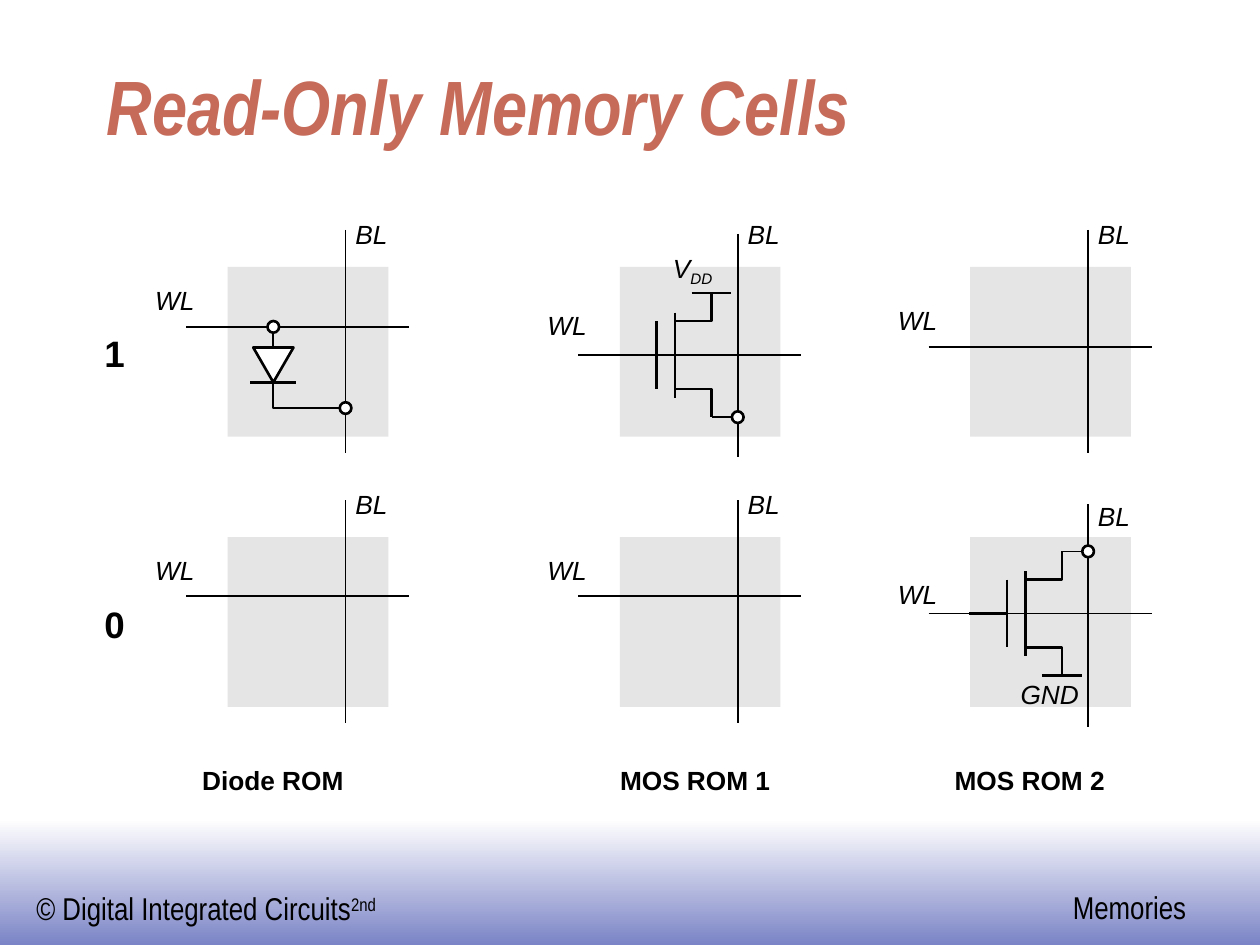
from pptx import Presentation
from pptx.dml.color import RGBColor
from pptx.enum.shapes import MSO_CONNECTOR, MSO_SHAPE
from pptx.enum.text import MSO_ANCHOR, MSO_AUTO_SIZE, PP_ALIGN
from pptx.oxml.ns import qn
from pptx.util import Pt
from lxml.etree import SubElement

COLORS = {
    "ink": "000000",
    "title": "C66B5A",
    "cell": "E5E5E5",
    "paper": "FFFFFF",
    "footer": "7B84C6",
}
THIN, THICK = 1, 1.5
CELL_WIDTH, CELL_HEIGHT = 91.8, 97
COLUMNS = {"Diode ROM": 130.1, "MOS ROM 1": 354.2, "MOS ROM 2": 554.4}
ROWS = {"1": 152.6, "0": 307}
BIT_LINE_X = 67.4
CONTACT_SIZE = 6.7


def color(name):
    return RGBColor.from_string(COLORS[name])


def add_run(paragraph, text, size, font_name="Arial", ink="ink",
            bold=False, italic=False, baseline=0):
    """Add one run; baseline is a shift in percent."""
    run = paragraph.add_run()
    run.text = text
    font = run.font
    font.name, font.size = font_name, Pt(size)
    font.bold, font.italic = bold, italic
    font.color.rgb = color(ink)
    if baseline:
        run._r.get_or_add_rPr().set("baseline", str(baseline * 1000))


def add_text(slide, left, top, width, height, text, size=15, shifted="",
             baseline=0, margins=(0, 0), **style):
    """Add an unwrapped label, with an optional raised or lowered second run."""
    box = slide.shapes.add_textbox(Pt(left), Pt(top), Pt(width), Pt(height))
    frame = box.text_frame
    frame.word_wrap = False
    frame.auto_size = MSO_AUTO_SIZE.SHAPE_TO_FIT_TEXT
    frame.margin_left = frame.margin_right = Pt(margins[0])
    frame.margin_top = frame.margin_bottom = Pt(margins[1])
    paragraph = frame.paragraphs[0]
    add_run(paragraph, text, size, **style)
    if shifted:
        add_run(paragraph, shifted, size, baseline=baseline, **style)


def add_line(slide, x1, y1, x2, y2, weight=THIN):
    line = slide.shapes.add_connector(
        MSO_CONNECTOR.STRAIGHT, Pt(x1), Pt(y1), Pt(x2), Pt(y2))
    line.line.color.rgb = color("ink")
    line.line.width = Pt(weight)
    SubElement(line._element.spPr, qn("a:effectLst"))


def format_shape(shape, fill=None, weight=None):
    shape.shadow.inherit = False
    if fill:
        shape.fill.solid()
        shape.fill.fore_color.rgb = color(fill)
    else:
        shape.fill.background()
    if weight:
        shape.line.color.rgb = color("ink")
        shape.line.width = Pt(weight)
    else:
        shape.line.fill.background()


def add_path(slide, points, weight, fill=None, close=False):
    start, *rest = [(Pt(x), Pt(y)) for x, y in points]
    builder = slide.shapes.build_freeform(*start)
    builder.add_line_segments(rest, close=close)
    format_shape(builder.convert_to_shape(), fill, weight)


def add_contact(slide, x, y):
    """Add a small open circle centred on a wire junction."""
    circle = slide.shapes.add_shape(
        MSO_SHAPE.OVAL, Pt(x - CONTACT_SIZE / 2), Pt(y - CONTACT_SIZE / 2),
        Pt(CONTACT_SIZE), Pt(CONTACT_SIZE))
    format_shape(circle, "paper", THICK)


def add_cell(slide, left, top, word_y, word_label_y, bit_y=-21.2,
             bit_label_y=-28.1):
    """Add a cell with its word line and bit line; y values count from top."""
    cell = slide.shapes.add_shape(
        MSO_SHAPE.RECTANGLE, Pt(left), Pt(top), Pt(CELL_WIDTH), Pt(CELL_HEIGHT))
    format_shape(cell, "cell")
    bit_x = left + BIT_LINE_X
    add_line(slide, bit_x, top + bit_y, bit_x, top + bit_y + 127.4)
    add_line(slide, left - 23.8, top + word_y, left + 103.8, top + word_y)
    add_text(slide, left - 41.4, top + word_label_y, 23, 18, "WL", italic=True)
    add_text(slide, left + 73, top + bit_label_y, 19, 18, "BL", italic=True)


def add_diode(slide, left, word_y):
    x, bit_x = left + 26.1, left + BIT_LINE_X
    bottom, tip = word_y + 46.4, word_y + 31.7
    add_path(slide, [(x, word_y), (x, bottom), (bit_x, bottom)], THIN)
    add_line(slide, x - 13.2, tip, x + 13.2, tip, THICK)
    add_path(slide, [(x - 11.5, word_y + 11.8), (x, tip), (x + 11.5, word_y + 11.8)],
             THICK, "paper", close=True)
    add_contact(slide, x, word_y)
    add_contact(slide, bit_x, bottom)


def add_transistor(slide, left, word_y, rail_side):
    """Add a transistor; rail_side is -1 for a rail above, 1 for one below."""
    channel_x = left + 31.5
    gate_x, lead_x = channel_x - 10.4, channel_x + 20.9
    bit_x = left + BIT_LINE_X
    add_line(slide, left - 0.6, word_y, gate_x, word_y, THICK)
    add_line(slide, gate_x, word_y - 19.4, gate_x, word_y + 19.4, THICK)
    add_line(slide, channel_x, word_y - 24.3, channel_x, word_y + 24.3, THICK)
    for side in (-1, 1):
        lead_y = word_y + side * 19.4
        add_path(slide, [(channel_x, lead_y), (lead_x, lead_y),
                         (lead_x, word_y + side * 35.5)], THICK)
    rail_y, contact_y = word_y + rail_side * 35.5, word_y - rail_side * 35.5
    add_line(slide, lead_x - 11.4, rail_y, lead_x + 11.4, rail_y, THICK)
    add_line(slide, lead_x, contact_y, bit_x, contact_y)
    add_contact(slide, bit_x, contact_y)


def add_footer(slide):
    band = slide.shapes.add_shape(
        MSO_SHAPE.RECTANGLE, Pt(0), Pt(468), Pt(720), Pt(72))
    format_shape(band)
    band.fill.gradient()
    band.fill.gradient_angle = 270
    for stop, name in zip(band.fill.gradient_stops, ("paper", "footer")):
        stop.color.rgb = color(name)
    style = {"size": 18, "font_name": "Arial Narrow", "margins": (7.2, 3.6)}
    add_text(slide, 13.7, 504.5, 211, 28.8, "© Digital Integrated Circuits",
             shifted="2nd", baseline=30, **style)
    add_text(slide, 606, 504, 80, 28.8, "Memories", **style)


def add_title(slide, text):
    title = slide.shapes.title
    title.left, title.top, title.width, title.height = map(Pt, (53.7, 30, 612, 60))
    frame = title.text_frame
    frame.vertical_anchor = MSO_ANCHOR.BOTTOM
    frame.auto_size = MSO_AUTO_SIZE.NONE
    paragraph = frame.paragraphs[0]
    paragraph.alignment = PP_ALIGN.LEFT
    add_run(paragraph, text, 44, "Arial Narrow", "title", bold=True, italic=True)


def main():
    presentation = Presentation()
    presentation.slide_width, presentation.slide_height = Pt(720), Pt(540)
    slide = presentation.slides.add_slide(presentation.slide_layouts[5])
    add_footer(slide)
    add_title(slide, "Read-Only Memory Cells")

    diode, mos_1, mos_2 = COLUMNS.values()
    one, zero = ROWS.values()
    add_cell(slide, diode, one, 34.2, 10)
    add_diode(slide, diode, one + 34.2)
    add_cell(slide, mos_1, one, 50.3, 24, bit_y=-19)
    add_transistor(slide, mos_1, one + 50.3, -1)
    add_text(slide, 384.5, 144, 24, 20.2, "V", shifted="DD", baseline=-25,
             italic=True)
    add_cell(slide, mos_2, one, 45.5, 21.4)
    for left in (diode, mos_1):
        add_cell(slide, left, zero, 33.7, 9.7)
    add_cell(slide, mos_2, zero, 43.6, 23.5, bit_y=-19, bit_label_y=-21.2)
    add_transistor(slide, mos_2, zero + 43.6, 1)
    add_text(slide, 583.2, 387.4, 34, 18, "GND", italic=True)

    for bit, top in ROWS.items():
        add_text(slide, 59.7, top + 36.6, 12, 25.2, bit, size=21, bold=True)
    for name, left, width in zip(COLUMNS, (115.5, 354.3, 545.5), (82, 87, 87)):
        add_text(slide, left, 436.6, width, 18, name, bold=True)
    presentation.save("out.pptx")


if __name__ == "__main__":
    main()
